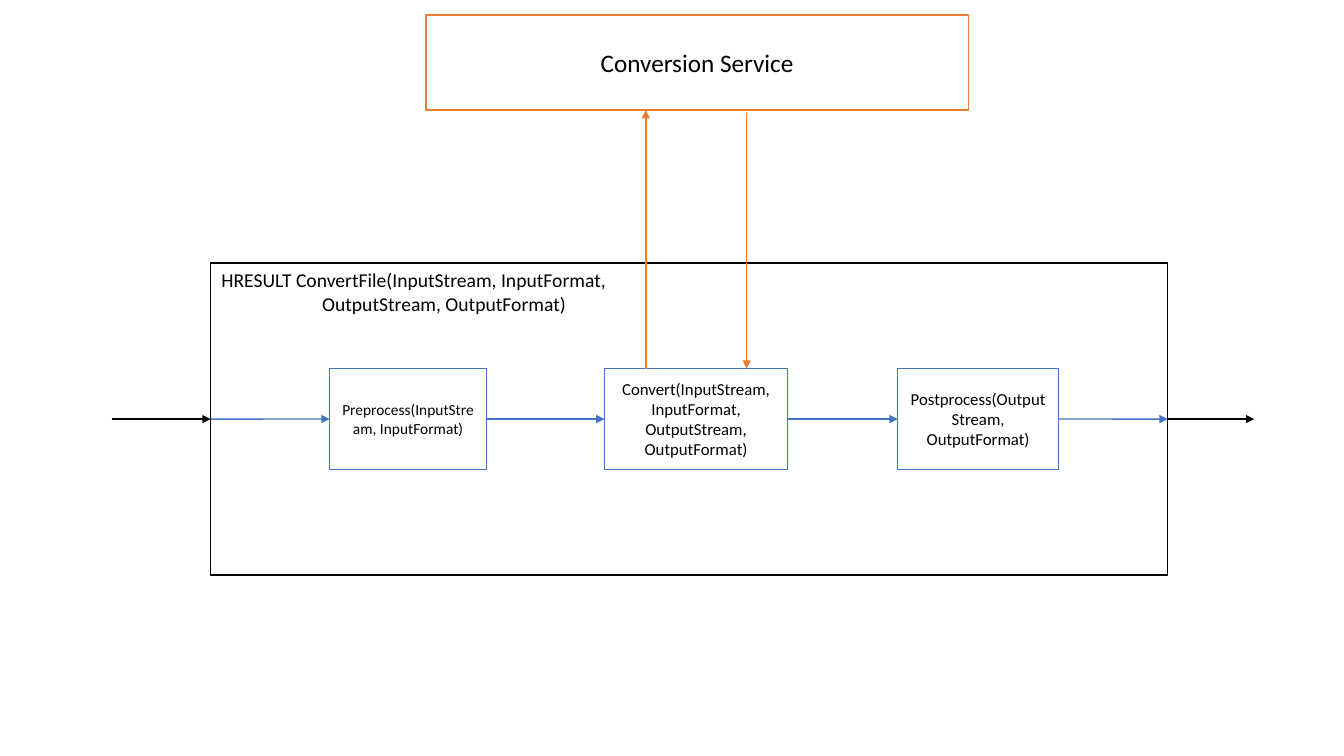
from lxml import etree
from pptx import Presentation
from pptx.dml.color import RGBColor
from pptx.enum.shapes import MSO_CONNECTOR, MSO_SHAPE
from pptx.enum.text import MSO_ANCHOR, PP_ALIGN
from pptx.oxml.ns import qn
from pptx.util import Cm, Pt

BLACK = RGBColor(0x00, 0x00, 0x00)
WHITE = RGBColor(0xFF, 0xFF, 0xFF)
BLUE = RGBColor(0x44, 0x72, 0xC4)
ORANGE = RGBColor(0xED, 0x7D, 0x31)
RECT = MSO_SHAPE.RECTANGLE
STRAIGHT = MSO_CONNECTOR.STRAIGHT
MIDDLE = MSO_ANCHOR.MIDDLE
CENTER = PP_ALIGN.CENTER
LEFT_SIDE, RIGHT_SIDE = 1, 3


class Diagram:
    """Draws boxes, arrows and labels on one slide in a shared style."""

    font = "Calibri"
    line_width = Pt(1)

    def __init__(self, slide):
        self.shapes = slide.shapes

    def style_text(self, p, size):
        p.font.name = self.font
        p.font.size = Pt(size)
        p.font.color.rgb = BLACK

    def box(self, x, y, w, h, color, text="", size=12):
        sp = self.shapes.add_shape(RECT, Cm(x), Cm(y), Cm(w), Cm(h))
        sp.shadow.inherit = False
        sp.fill.solid()
        sp.fill.fore_color.rgb = WHITE
        sp.line.color.rgb = color
        sp.line.width = self.line_width
        if text:
            tf = sp.text_frame
            tf.word_wrap = True
            tf.vertical_anchor = MIDDLE
            p = tf.paragraphs[0]
            p.text = text
            p.alignment = CENTER
            self.style_text(p, size)
        return sp

    def arrow(self, x1, y1, x2, y2, color):
        cxn = self.shapes.add_connector(STRAIGHT, Cm(x1), Cm(y1), Cm(x2), Cm(y2))
        cxn.line.color.rgb = color
        cxn.line.width = self.line_width
        ln = cxn.line._get_or_add_ln()
        etree.SubElement(ln, qn("a:tailEnd"), type="triangle")
        etree.SubElement(cxn._element.spPr, qn("a:effectLst"))
        return cxn

    def label(self, x, y, w, h, lines, size):
        tf = self.shapes.add_textbox(Cm(x), Cm(y), Cm(w), Cm(h)).text_frame
        tf.word_wrap = False
        for i, (text, indent) in enumerate(lines):
            p = tf.add_paragraph() if i else tf.paragraphs[0]
            p.text = text
            self.style_text(p, size)
            p._p.get_or_add_pPr().set("marL", str(Cm(indent)))


def main():
    prs = Presentation()
    prs.slide_width, prs.slide_height = Cm(33.88), Cm(19.05)
    d = Diagram(prs.slides.add_slide(prs.slide_layouts[6]))

    frame = d.box(5.31, 6.63, 24.13, 7.86, BLACK)
    step_top, step_height, flow_y = 9.29, 2.54, 10.56
    steps = [
        d.box(x, step_top, w, step_height, BLUE, text, size)
        for x, w, text, size in (
            (8.31, 3.96, "Preprocess(InputStream, InputFormat)", 11),
            (15.24, 4.62, "Convert(InputStream, InputFormat, OutputStream, OutputFormat)", 12),
            (22.63, 4.06, "Postprocess(OutputStream, OutputFormat)", 12),
        )
    ]

    d.arrow(2.82, flow_y, 5.31, flow_y, BLACK).end_connect(frame, LEFT_SIDE)
    d.arrow(29.44, flow_y, 31.62, flow_y, BLACK).begin_connect(frame, RIGHT_SIDE)

    stops = [(frame, LEFT_SIDE)]
    for step in steps:
        stops += [(step, LEFT_SIDE), (step, RIGHT_SIDE)]
    stops.append((frame, RIGHT_SIDE))
    for start, end in zip(stops[::2], stops[1::2]):
        cxn = d.arrow(0, flow_y, 1, flow_y, BLUE)
        cxn.begin_connect(*start)
        cxn.end_connect(*end)

    d.arrow(16.28, step_top, 16.28, 2.77, ORANGE)
    d.arrow(18.82, 2.84, 18.82, step_top, ORANGE)
    d.label(5.33, 6.63, 10.29, 1.45, (
        ("HRESULT ConvertFile(InputStream, InputFormat,", 0),
        ("OutputStream, OutputFormat)", 2.54),
    ), 14)
    d.box(10.74, 0.38, 13.67, 2.39, ORANGE, "Conversion Service", 18)

    prs.save("out.pptx")


if __name__ == "__main__":
    main()
